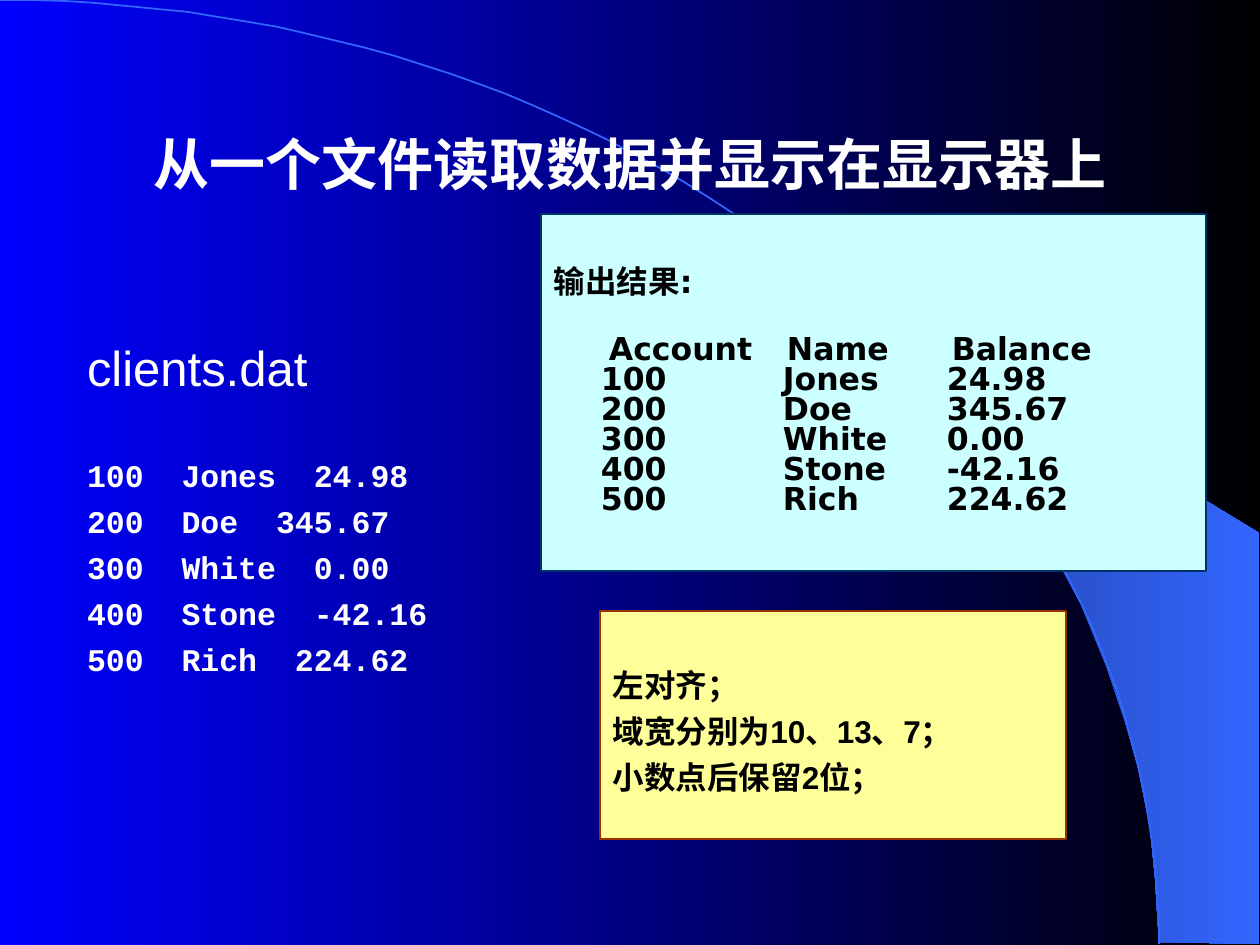
from lxml import etree
from pptx import Presentation
from pptx import util as u
from pptx.dml import color
from pptx.enum import shapes, text
from pptx.oxml import ns

EMU_PER_PX = 914400 / 126
CLIENTS = [("100", "Jones", "24.98"), ("200", "Doe", "345.67"), ("300", "White", "0.00"),
           ("400", "Stone", "-42.16"), ("500", "Rich", "224.62")]
HEADER = ("Account", "Name", "Balance")
NOTES = ["左对齐；", "域宽分别为10、13、7；", "小数点后保留2位；"]
WEDGE = [(1159, 942), (1259, 944), (1259, 533), (742, 218), (786, 251), (823, 280),
         (863, 315), (902, 353), (960, 416), (1012, 484), (1048, 543), (1081, 604),
         (1106, 665), (1125, 721), (1138, 767), (1150, 827), (1155, 877)]


def px(length):
    """Turn a pixel length into EMU."""
    return u.Emu(round(length * EMU_PER_PX))


def rgb(value):
    """Turn a hex string into a colour."""
    return color.RGBColor.from_string(value)


def set_gradient(fill, start, end):
    """Give a fill a left-to-right gradient."""
    fill.gradient()
    fill.gradient_angle = 0
    for stop, value in zip(fill.gradient_stops, (start, end)):
        stop.color.rgb = rgb(value)


def set_frame(shape, inset_top=6, anchor=text.MSO_ANCHOR.TOP):
    """Set wrapping, insets and anchor, and return the text frame."""
    frame = shape.text_frame
    values = {"word_wrap": True, "vertical_anchor": anchor, "margin_left": px(13),
              "margin_right": px(13), "margin_top": px(inset_top), "margin_bottom": px(6)}
    for name, value in values.items():
        setattr(frame, name, value)
    return frame


def write_line(frame, content, font, line=None, before=0, tabs=(), align=text.PP_ALIGN.LEFT):
    """Write one paragraph with its font, tab stops and spacing in px."""
    first = frame.paragraphs[0]
    paragraph = first if not first.runs else frame.add_paragraph()
    if tabs:
        tab_list = etree.SubElement(paragraph._p.get_or_add_pPr(), ns.qn("a:tabLst"))
        for stop in tabs:
            etree.SubElement(tab_list, ns.qn("a:tab"), pos=str(px(stop)), algn="l")
    values = {"alignment": align, "space_before": px(before),
              "line_spacing": px(line) if line else None}
    for name, value in values.items():
        setattr(paragraph, name, value)
    run = paragraph.add_run()
    run.text = content
    for name, value in font.items():
        if name == "color":
            run.font.color.rgb = rgb(value)
        else:
            setattr(run.font, name, value)


def make_font(name, size, value, bold=True):
    """Collect font values in a dict."""
    return {"name": name, "size": u.Pt(size), "color": value, "bold": bold}


def add_panel(slide, box, fill, line, inset_top):
    """Add a filled rectangle and return its text frame."""
    shape = slide.shapes.add_shape(shapes.MSO_SHAPE.RECTANGLE, *map(px, box))
    shape.shadow.inherit = False
    shape.fill.solid()
    shape.fill.fore_color.rgb = rgb(fill)
    shape.line.color.rgb = rgb(line)
    shape.line.width = u.Pt(0.75)
    return set_frame(shape, inset_top)


def add_outline(slide, points, close):
    """Add a freeform through the points."""
    builder = slide.shapes.build_freeform(*points[0], scale=EMU_PER_PX)
    builder.add_line_segments(points[1:], close=close)
    shape = builder.convert_to_shape()
    shape.shadow.inherit = False
    return shape


def draw_backdrop(slide, box):
    """Draw the gradient, the wedge and the arc that spans the box."""
    set_gradient(slide.background.fill, "0000FF", "000000")
    wedge = add_outline(slide, WEDGE, True)
    set_gradient(wedge.fill, "182F76", "3366FF")
    wedge.line.fill.background()
    left, top, width, height = box
    steps = [index / 60 for index in range(61)]
    points = [(left + width * (3 * 0.552 * t * (1 - t) ** 2 + 3 * t ** 2 * (1 - t) + t ** 3),
               top + height * (3 * 0.448 * t ** 2 * (1 - t) + t ** 3)) for t in steps]
    arc = add_outline(slide, points, False)
    arc.fill.background()
    arc.line.color.rgb = rgb("3366FF")
    arc.line.width = u.Pt(1)


def draw_title(slide, box):
    """Write the centred title."""
    frame = set_frame(slide.shapes.add_textbox(*map(px, box)), anchor=text.MSO_ANCHOR.MIDDLE)
    write_line(frame, "从一个文件读取数据并显示在显示器上", make_font("Arial", 32, "FFFFFF"),
               align=text.PP_ALIGN.CENTER)


def draw_data_file(slide, box):
    """List the file content, each field two characters after the last."""
    frame = set_frame(slide.shapes.add_textbox(*map(px, box)))
    write_line(frame, "clients.dat", make_font("Arial", 28, "FFFFFF", False), 56)
    character = 18.9
    for index, client in enumerate(CLIENTS):
        second = len(client[0]) + 2
        third = second + len(client[1]) + 2
        write_line(frame, "\t".join(client), make_font("Courier New", 18, "FFFFFF"), 46,
                   0 if index else 52, (second * character, third * character))


def draw_output(slide, box):
    """Show the printed table in columns."""
    frame = add_panel(slide, box, "CCFFFF", "003366", 56)
    font = make_font("DejaVu Sans", 18, "000000")
    write_line(frame, "输出结果:", font, 30)
    write_line(frame, "\t" + "\t".join(HEADER), font, 30, 37, (55, 233, 398))
    for client in CLIENTS:
        write_line(frame, "\t" + "\t".join(client), font, 30, 0, (47, 229, 393))


def draw_notes(slide, box):
    """List the format rules."""
    frame = add_panel(slide, box, "FFFF99", "993300", 47)
    for note in NOTES:
        write_line(frame, note, make_font("Arial", 18, "000000"), 46)


def main():
    """Build and save the slide."""
    presentation = Presentation()
    presentation.slide_width, presentation.slide_height = px(1260), px(945)
    slide = presentation.slides.add_slide(presentation.slide_layouts[6])
    draw_backdrop(slide, (0, 0, 1159, 944))
    draw_title(slide, (95, 84, 1071, 158))
    draw_data_file(slide, (74, 334, 437, 377))
    draw_output(slide, (541, 214, 665, 357))
    draw_notes(slide, (600, 611, 466, 228))
    presentation.save("out.pptx")


if __name__ == "__main__":
    main()
